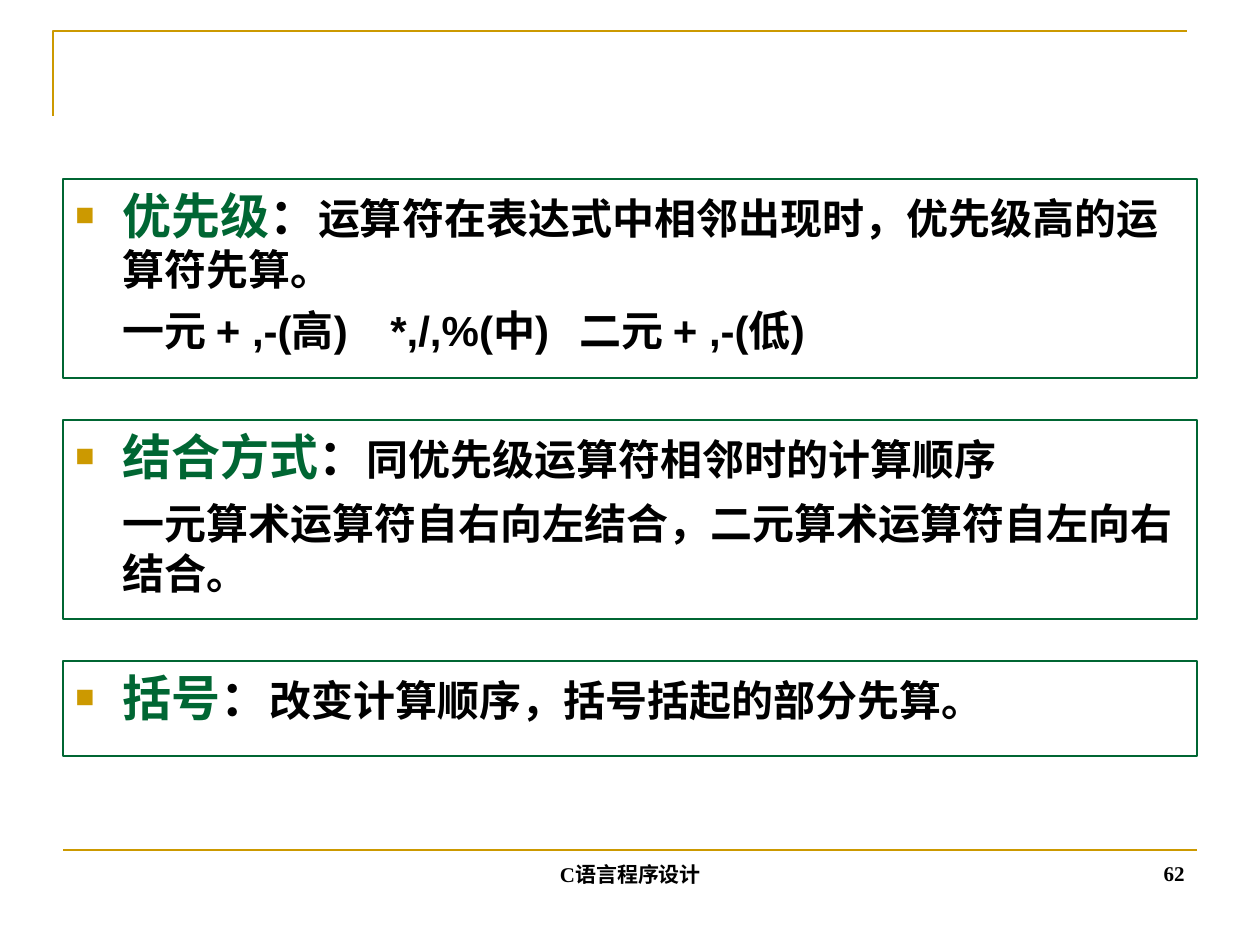
from pptx import Presentation
from pptx.dml.color import RGBColor
from pptx.enum.shapes import MSO_CONNECTOR, MSO_SHAPE
from pptx.enum.text import MSO_ANCHOR, PP_ALIGN
from pptx.oxml.ns import qn
from pptx.util import Pt
from lxml import etree

RECT = MSO_SHAPE.RECTANGLE
LINE = MSO_CONNECTOR.STRAIGHT
TOP, BOTTOM = MSO_ANCHOR.TOP, MSO_ANCHOR.BOTTOM
LEFT, CENTER, RIGHT = PP_ALIGN.LEFT, PP_ALIGN.CENTER, PP_ALIGN.RIGHT

SCALE = 914400 / 126
GOLD, GREEN, BLACK = "CC9900", "006633", "000000"
INDENT = 47


def px(n):
    """Turn px into EMU."""
    return round(n * SCALE)


def paint(color, value):
    color.rgb = RGBColor.from_string(value)


def add_run(para, text, size, color=BLACK, font="Arial"):
    run = para.add_run()
    run.text = text
    run.font.size = Pt(size)
    run.font.name = font
    run.font.bold = True
    paint(run.font.color, color)


def set_indent(para, left, first):
    props = para._p.get_or_add_pPr()
    props.set("marL", str(px(left)))
    props.set("indent", str(px(first)))
    return props


def add_bullet(para):
    props = set_indent(para, INDENT, -INDENT)
    color = etree.SubElement(props, qn("a:buClr"))
    etree.SubElement(color, qn("a:srgbClr"), val=GOLD)
    etree.SubElement(props, qn("a:buSzPct"), val="65000")
    etree.SubElement(props, qn("a:buFont"), typeface="Arial")
    etree.SubElement(props, qn("a:buChar"), char="■")


def add_tabs(para, stops):
    tabs = etree.SubElement(para._p.get_or_add_pPr(), qn("a:tabLst"))
    for stop in stops:
        etree.SubElement(tabs, qn("a:tab"), pos=str(px(stop)), algn="l")


def add_frame(slide):
    """Draw the gold corner at the top and the rule at the foot."""
    corner = slide.shapes.build_freeform(53, 116, scale=SCALE)
    corner.add_line_segments([(53, 31), (1187, 31)], close=False)
    shape = corner.convert_to_shape()
    shape.shadow.inherit = False
    shape.fill.background()
    rule = slide.shapes.add_connector(LINE, px(63), px(850), px(1197), px(850))
    etree.SubElement(rule._element.spPr, qn("a:effectLst"))
    for item in (shape, rule):
        paint(item.line.color, GOLD)
        item.line.width = Pt(1.5)


def add_foot(slide, box, text, align):
    frame = slide.shapes.add_textbox(*map(px, box)).text_frame
    frame.word_wrap = True
    frame.vertical_anchor = BOTTOM
    para = frame.paragraphs[0]
    para.alignment = align
    add_run(para, text, 12, font="Times New Roman")


def add_panel(slide, box, term, text):
    """Draw a bordered box whose first paragraph explains a term."""
    shape = slide.shapes.add_shape(RECT, *map(px, box))
    shape.shadow.inherit = False
    shape.fill.background()
    paint(shape.line.color, GREEN)
    shape.line.width = Pt(0.75)
    frame = shape.text_frame
    frame.word_wrap = True
    frame.vertical_anchor = TOP
    para = frame.paragraphs[0]
    para.alignment = LEFT
    para.space_before = Pt(6)
    add_bullet(para)
    add_run(para, term, 28, GREEN)
    add_run(para, "：", 28)
    add_run(para, text, 24)
    return frame


def add_detail(frame, text, space, left, first):
    para = frame.add_paragraph()
    para.alignment = LEFT
    para.space_before = Pt(space)
    set_indent(para, left, first)
    add_run(para, text, 24)
    return para


def main():
    deck = Presentation()
    deck.slide_width, deck.slide_height = px(1260), px(945)
    slide = deck.slides.add_slide(deck.slide_layouts[6])
    add_frame(slide)
    add_foot(slide, (431, 830, 399, 63), "C语言程序设计", CENTER)
    add_foot(slide, (903, 829, 294, 63), "62", RIGHT)

    rank = add_panel(slide, (63, 179, 1134, 199), "优先级",
                     "运算符在表达式中相邻出现时，优先级高的运算符先算。")
    levels = add_detail(rank, "一元 + ,-(高)\t*,/,%(中)\t二元 + ,-(低)", 6, 0, INDENT)
    add_tabs(levels, (373, 632))

    order = add_panel(slide, (63, 420, 1134, 199), "结合方式",
                      "同优先级运算符相邻时的计算顺序")
    add_detail(order, "一元算术运算符自右向左结合，二元算术运算符自左向右结合。",
               7, INDENT, 0)

    add_panel(slide, (63, 661, 1134, 95), "括号",
              "改变计算顺序，括号括起的部分先算。")
    deck.save("out.pptx")


if __name__ == "__main__":
    main()
